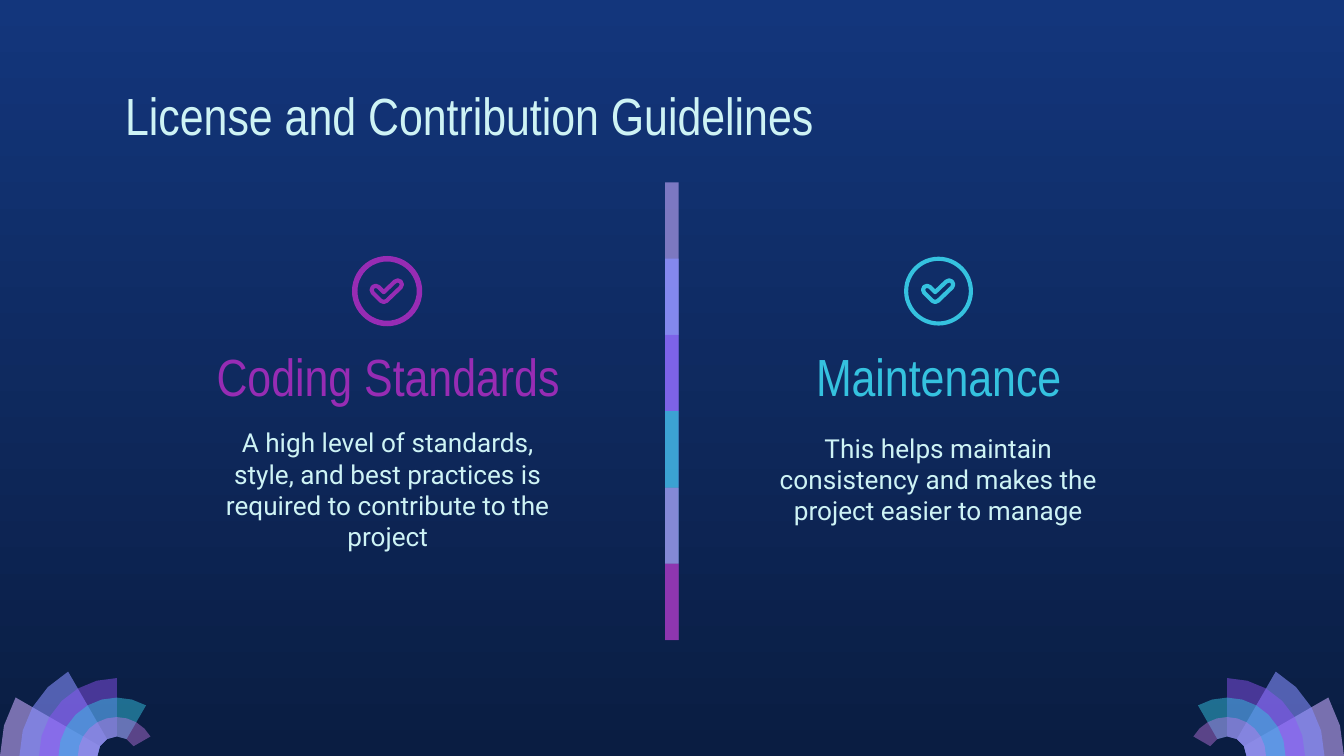
"""Builds the License and Contribution Guidelines slide."""
from dataclasses import dataclass
from math import cos, radians, sin

from lxml.etree import SubElement
from pptx import Presentation
from pptx.dml.color import RGBColor
from pptx.enum.shapes import MSO_SHAPE
from pptx.enum.text import MSO_ANCHOR, PP_ALIGN
from pptx.oxml.ns import qn
from pptx.util import Pt


@dataclass(frozen=True)
class Theme:
    sky: str = "13367C"
    night: str = "0A1D42"
    pale: str = "CEF3F5"
    cyan: str = "35C2DF"
    magenta: str = "972CB4"
    lilac: str = "C8ACFD"
    periwinkle: str = "878FFF"
    violet: str = "9154F8"
    orchid: str = "CA7BEB"
    heading_font: str = "Arial Narrow"
    body_font: str = "Roboto"
    heading_size: int = 28
    body_size: int = 14


def arc(center_x, center_y, radius, start, end, step):
    count = max(1, round(abs(end - start) / step))
    angles = [radians(start + (end - start) * i / count) for i in range(count + 1)]
    return [(center_x + radius * cos(a), center_y - radius * sin(a)) for a in angles]


def paint(shape, color, opacity=100):
    shape.shadow.inherit = False
    shape.line.fill.background()
    shape.fill.solid()
    shape.fill.fore_color.rgb = RGBColor.from_string(color)
    if opacity < 100:
        color_element = shape._element.spPr.find(qn("a:solidFill"))[0]
        SubElement(color_element, qn("a:alpha"), val=str(opacity * 1000))


theme = Theme()
presentation = Presentation()
presentation.slide_width, presentation.slide_height = Pt(720), Pt(405)
slide = presentation.slides.add_slide(presentation.slide_layouts[6])
background = slide.background.fill
background.gradient()
background.gradient_angle = 270
for stop, color in zip(background.gradient_stops, (theme.sky, theme.night)):
    stop.color.rgb = RGBColor.from_string(color)

petals = [
    (theme.lilac, 58), (theme.periwinkle, 58), (theme.violet, 46),
    (theme.cyan, 49), (theme.orchid, 42),
]
for mirrored in (False, True):
    for index, (color, opacity) in enumerate(petals):
        end = 150 - 30 * index
        outline = arc(62.6, 405, 62.6 - 10.44 * index, 180, end, 15)
        outline += arc(62.6, 405, 10.44, end, 180, 30)
        if mirrored:
            outline = [(720 - x, y) for x, y in outline]
        points = [(Pt(x), Pt(y)) for x, y in outline]
        builder = slide.shapes.build_freeform(*points[0], scale=1.0)
        builder.add_line_segments(points[1:])
        paint(builder.convert_to_shape(), color, opacity)

bars = [
    (theme.lilac, 59), (theme.periwinkle, 74), (theme.violet, 53),
    (theme.cyan, 76), (theme.orchid, 56), (theme.magenta, 74),
]
bar_top, bar_step = 97.8, 40.85
for index, (color, opacity) in enumerate(bars):
    height = bar_step * min(2, len(bars) - index)
    bar = slide.shapes.add_shape(
        MSO_SHAPE.RECTANGLE, Pt(356.4), Pt(bar_top + bar_step * index), Pt(7.2), Pt(height))
    paint(bar, color, opacity)

ring_size, ring_middle, check_radius = 36.9, 156, 2.2
for ring_center, color, edge in ((207.4, theme.magenta, 0.75), (502.8, theme.cyan, 0)):
    ring = slide.shapes.add_shape(
        MSO_SHAPE.DONUT, Pt(ring_center - ring_size / 2), Pt(ring_middle - ring_size / 2),
        Pt(ring_size), Pt(ring_size))
    ring.adjustments[0] = 0.06
    paint(ring, color)
    if edge:
        ring.line.color.rgb = RGBColor.from_string(color)
        ring.line.width = Pt(edge)

    x, y = ring_center - 1.8, ring_middle + 3.6
    outline = arc(x - 4.3, y - 4.3, check_radius, 45, 225, 45)
    outline += arc(x, y, check_radius, 225, 315, 45)
    outline += arc(x + 7.5, y - 7.2, check_radius, -45, 135, 45)
    outline.append((x, y - check_radius * 1.41))
    points = [(Pt(px), Pt(py)) for px, py in outline]
    builder = slide.shapes.build_freeform(*points[0], scale=1.0)
    builder.add_line_segments(points[1:])
    check = builder.convert_to_shape()
    check.shadow.inherit = False
    check.fill.background()
    check.line.color.rgb = RGBColor.from_string(color)
    check.line.width = Pt(2.2)

heading = (theme.heading_font, theme.heading_size)
body = (theme.body_font, theme.body_size)
texts = [
    ("Maintenance", (418.2, 179.6, 169.2, 45.4),
     heading, theme.cyan, PP_ALIGN.CENTER, MSO_ANCHOR.BOTTOM),
    ("This helps maintain consistency and makes the project easier to manage",
     (406.6, 224.2, 192.2, 80.6), body, theme.pale, PP_ALIGN.CENTER, MSO_ANCHOR.TOP),
    ("A high level of standards, style, and best practices is required to contribute to the project",
     (105.1, 221.3, 205.2, 80.6), body, theme.pale, PP_ALIGN.CENTER, MSO_ANCHOR.TOP),
    ("Coding Standards", (102, 180, 211.7, 45.4),
     heading, theme.magenta, PP_ALIGN.CENTER, MSO_ANCHOR.BOTTOM),
    ("License and Contribution Guidelines", (60, 37.4, 607, 45.4),
     heading, theme.pale, PP_ALIGN.LEFT, MSO_ANCHOR.TOP),
]
for text, box, (font_name, font_size), color, alignment, anchor in texts:
    text_frame = slide.shapes.add_textbox(*map(Pt, box)).text_frame
    text_frame.word_wrap = True
    text_frame.vertical_anchor = anchor
    text_frame.margin_left = text_frame.margin_right = Pt(7.2)
    text_frame.margin_top = text_frame.margin_bottom = Pt(7.2)
    text_frame.text = text
    paragraph = text_frame.paragraphs[0]
    paragraph.alignment = alignment
    font = paragraph.runs[0].font
    font.name, font.size = font_name, Pt(font_size)
    font.color.rgb = RGBColor.from_string(color)

presentation.save("out.pptx")
